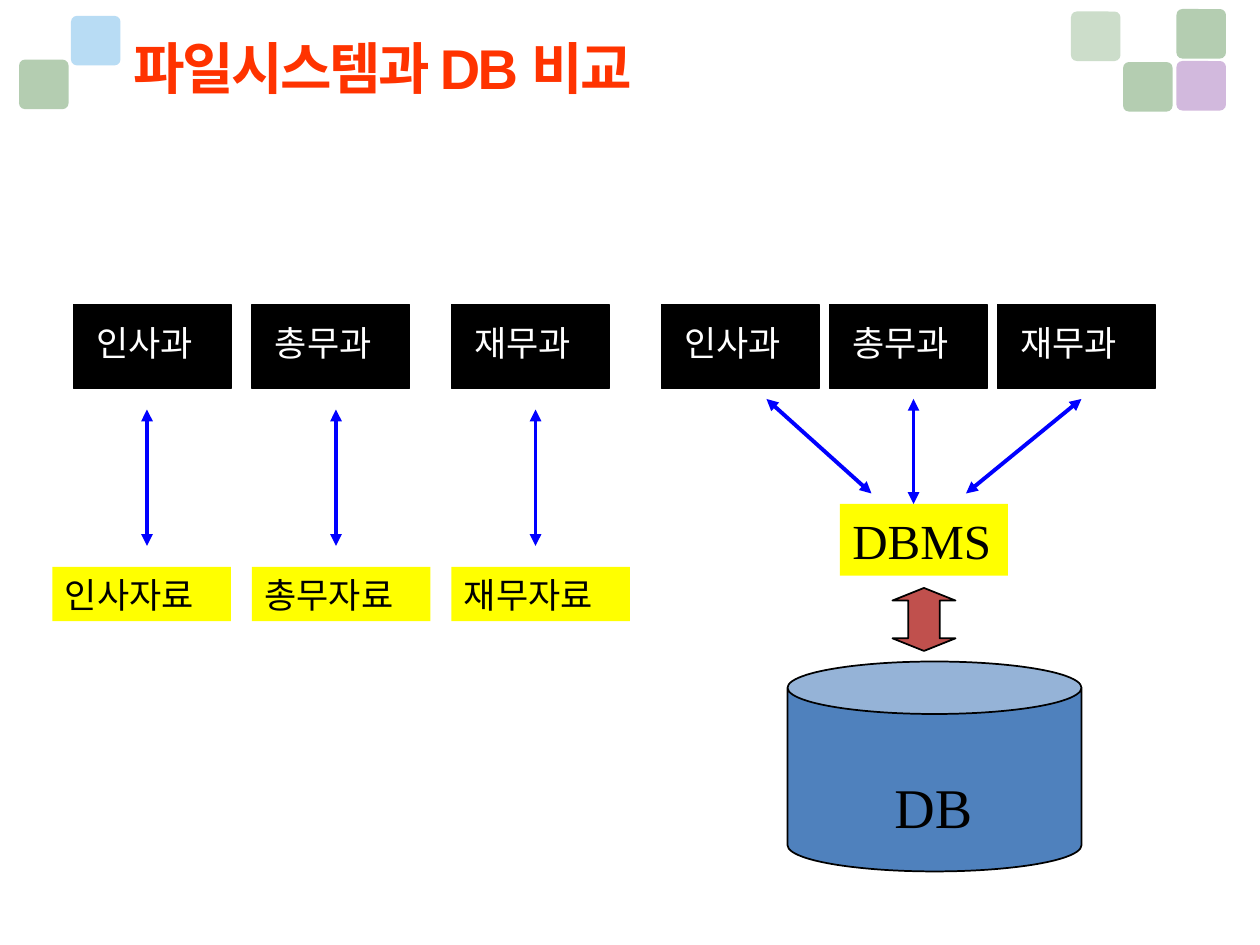
from pptx import Presentation
from pptx.dml.color import RGBColor
from pptx.enum.shapes import MSO_CONNECTOR, MSO_SHAPE
from pptx.enum.text import MSO_ANCHOR, PP_ALIGN
from pptx.oxml.ns import qn
from pptx.util import Pt
from lxml import etree

LINE = MSO_CONNECTOR.STRAIGHT
RECT, ROUND = MSO_SHAPE.RECTANGLE, MSO_SHAPE.ROUNDED_RECTANGLE
CAN, ARROW = MSO_SHAPE.CAN, MSO_SHAPE.UP_DOWN_ARROW
LEFT, TOP, MIDDLE = PP_ALIGN.LEFT, MSO_ANCHOR.TOP, MSO_ANCHOR.MIDDLE

THEME = {
    "red": "FF3300", "black": "000000", "white": "FFFFFF",
    "yellow": "FFFF00", "blue": "0000FF", "steel": "4F81BD",
    "brick": "C0504D", "green": "9BBD98", "sky": "A1D1F1",
    "lilac": "C4A2D2",
    "head": "Arial", "body": "Times New Roman",
    "title": 32, "label": 20, "dbms": 28, "db": 32,
}

TITLE = "파일시스템과 DB 비교"

# Corner tiles: left, top, colour, opacity in percent
TILE = 28.3
TILES = [
    (672.3, 34.9, "lilac", 75), (672.3, 5.2, "green", 75),
    (641.8, 35.5, "green", 75), (612, 6.6, "green", 51),
    (40.6, 9.1, "sky", 75), (10.9, 34.1, "green", 75),
]

# Departments: name, left of the box, width of the label
BOX_TOP, BOX_W, BOX_H, PAD = 174, 90, 48, 6
DEPTS = [
    ("인사과", 42, 78), ("총무과", 144, 84), ("재무과", 258, 84),
    ("인사과", 378, 78), ("총무과", 474, 78), ("재무과", 570, 84),
]
LABEL_H = 31

# Files of the file system: name, left, x of the arrow above
FILE_TOP, FILE_W = 324, 102
FILES = [("인사자료", 30, 84), ("총무자료", 144, 192),
         ("재무자료", 258, 306)]
FILE_SPAN = (234, 312)

# Arrows from the departments to the DBMS: x1, y1, x2, y2
LINKS = [(438, 228, 498, 282), (522, 228, 522, 288),
         (618, 228, 552, 282)]

# Shaft width and head length of the block arrow, in 1/100000
GUIDES = {"adj1": 50000, "adj2": 20000}


def tint(name):
    return RGBColor.from_string(THEME[name])


def add_run(para, text, size, color, font):
    run = para.add_run()
    run.text = text
    run.font.size = Pt(THEME[size])
    run.font.name = THEME[font]
    run.font.color.rgb = tint(color)
    return run


def add_form(slide, kind, place, fill, edge=None):
    """Add a preset shape; edge is the width of a black outline."""
    form = slide.shapes.add_shape(kind, *map(Pt, place))
    form.shadow.inherit = False
    form.fill.solid()
    form.fill.fore_color.rgb = tint(fill)
    if edge:
        form.line.color.rgb = tint("black")
        form.line.width = Pt(edge)
    else:
        form.line.fill.background()
    return form


def write(form, text, size, color):
    frame = form.text_frame
    frame.word_wrap = True
    frame.vertical_anchor = TOP
    para = frame.paragraphs[0]
    para.alignment = LEFT
    add_run(para, text, size, color, "body")


def add_link(slide, x1, y1, x2, y2):
    """Add a line with an arrowhead at both ends."""
    link = slide.shapes.add_connector(LINE, *map(Pt, (x1, y1, x2, y2)))
    link.line.color.rgb = tint("blue")
    link.line.width = Pt(2.25)
    ln = link.line._get_or_add_ln()
    for end in ("a:headEnd", "a:tailEnd"):
        etree.SubElement(ln, qn(end), type="triangle")
    etree.SubElement(link._element.spPr, qn("a:effectLst"))


def add_title(slide):
    title = slide.shapes.title
    title.left, title.top, title.width, title.height = map(
        Pt, (69, 12, 603, 53))
    frame = title.text_frame
    frame.vertical_anchor = MIDDLE
    para = frame.paragraphs[0]
    para.alignment = LEFT
    run = add_run(para, TITLE, "title", "red", "head")
    run.font.bold = True
    run.font._element.set("spc", "-150")


def add_tiles(slide):
    for x, y, color, alpha in TILES:
        tile = add_form(slide, ROUND, (x, y, TILE, TILE), color)
        tile.adjustments[0] = 0.12
        rgb = tile._element.spPr.find(".//" + qn("a:srgbClr"))
        etree.SubElement(rgb, qn("a:alpha"), val=str(alpha * 1000))


def add_depts(slide):
    for name, x, width in DEPTS:
        add_form(slide, RECT, (x, BOX_TOP, BOX_W, BOX_H), "black", 0.75)
        place = (x + PAD, BOX_TOP + PAD, width, LABEL_H)
        write(add_form(slide, RECT, place, "black"), name, "label", "white")


def add_files(slide):
    top, bottom = FILE_SPAN
    for name, x, mid in FILES:
        place = (x, FILE_TOP, FILE_W, LABEL_H)
        write(add_form(slide, RECT, place, "yellow"), name, "label", "black")
        add_link(slide, mid, top, mid, bottom)


def add_arrow(slide):
    """Add the block arrow, naming each guide in its XML."""
    arrow = add_form(slide, ARROW, (510, 336, 36, 36), "brick", 1)
    guides = arrow._element.spPr.find(".//" + qn("a:avLst"))
    for old in list(guides):
        guides.remove(old)
    for name, value in GUIDES.items():
        etree.SubElement(guides, qn("a:gd"), name=name, fmla=f"val {value}")


def add_store(slide):
    """Add the DBMS, its links and the database below it."""
    add_form(slide, CAN, (450, 378, 168, 120), "steel", 1)
    write(add_form(slide, RECT, (480, 288, 96, 41), "yellow"),
          "DBMS", "dbms", "black")
    write(slide.shapes.add_textbox(*map(Pt, (504, 438, 78, 45))),
          "DB", "db", "black")
    for ends in LINKS:
        add_link(slide, *ends)
    add_arrow(slide)


def main():
    deck = Presentation()
    deck.slide_width, deck.slide_height = Pt(720), Pt(540)
    slide = deck.slides.add_slide(deck.slide_layouts[5])
    for part in (add_tiles, add_title, add_depts, add_files, add_store):
        part(slide)
    deck.save("out.pptx")


if __name__ == "__main__":
    main()
